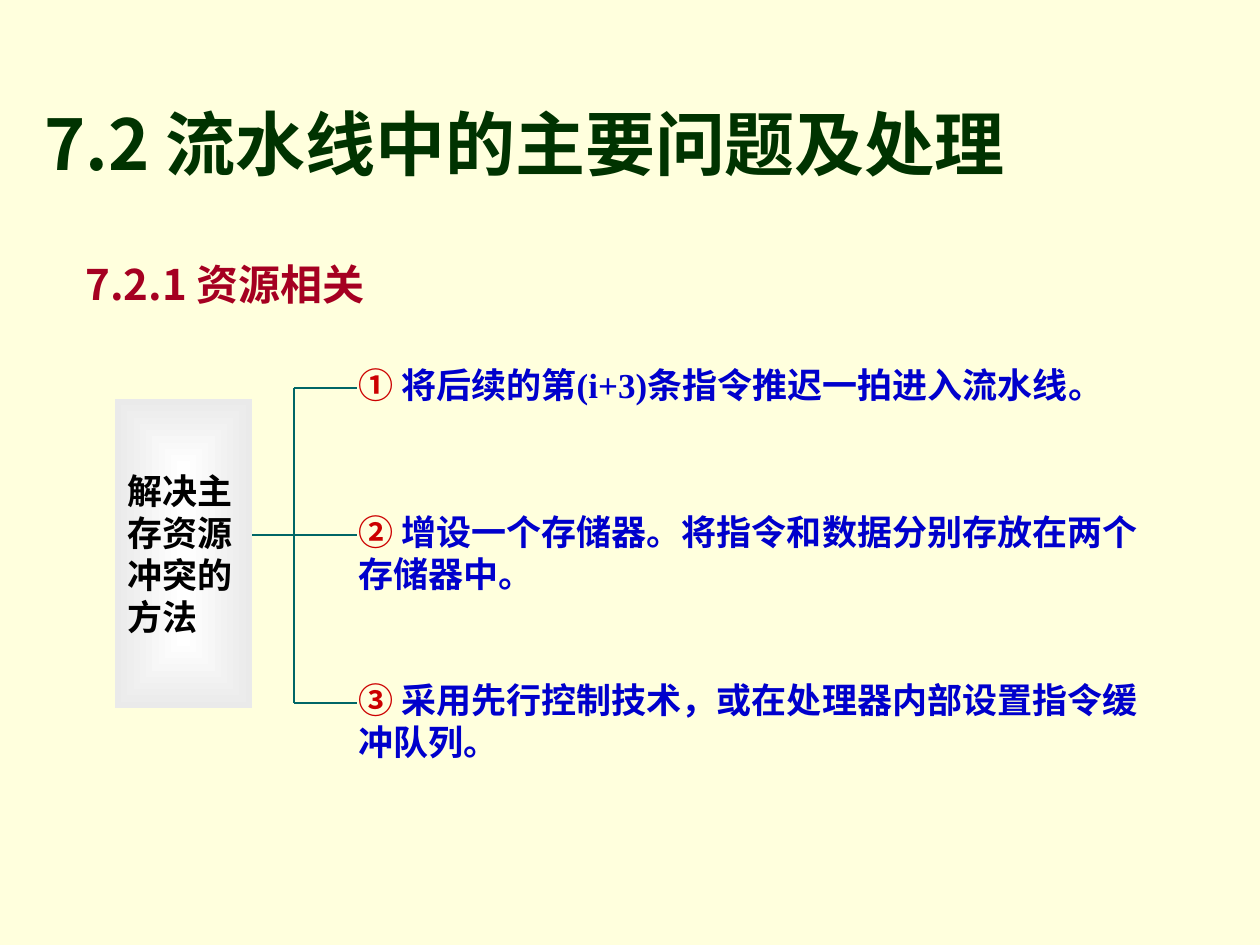
from lxml import etree
from pptx import Presentation
from pptx import util as u
from pptx.dml.color import RGBColor
from pptx.enum import shapes, text
from pptx.oxml import parse_xml
from pptx.oxml.ns import qn

CREAM = RGBColor(0xFF, 0xFF, 0xDD)
GREEN = RGBColor(0x00, 0x33, 0x00)
CRIMSON = RGBColor(0xA5, 0x00, 0x21)
RED = RGBColor(0xCC, 0x00, 0x00)
BLUE = RGBColor(0x00, 0x00, 0xCC)
TEAL = RGBColor(0x00, 0x66, 0x66)
BLACK = RGBColor(0x00, 0x00, 0x00)
WHITE = RGBColor(0xFF, 0xFF, 0xFF)
GRAY = RGBColor(0xEA, 0xEA, 0xEA)

CJK = "Noto Sans CJK SC"
LATIN = "Times New Roman"
DRAWING = "http://schemas.openxmlformats.org/drawingml/2006/main"

HEADINGS = [
    ("7.2 流水线中的主要问题及处理", (32, 94, 1166, 97), 40, GREEN),
    ("7.2.1 资源相关", (73, 252, 672, 63), 24, CRIMSON),
]
TOPIC = "解决主存资源冲突的方法"
TOPIC_BOX = (115, 399, 137, 309)
TOPIC_TOP_MARGIN = 70
METHODS = [
    (357, 55, [("① ", RED, CJK), ("将后续的第", BLUE, CJK), ("(i+3)", BLUE, LATIN),
               ("条指令推迟一拍进入流水线。", BLUE, CJK)]),
    (504, 97, [("② ", RED, CJK),
               ("增设一个存储器。将指令和数据分别存放在两个存储器中。", BLUE, CJK)]),
    (672, 97, [("③ ", RED, CJK),
               ("采用先行控制技术，或在处理器内部设置指令缓冲队列。", BLUE, CJK)]),
]
METHOD_LEFT, METHOD_WIDTH = 346, 809
TRUNK_X, BRANCH_END, BRANCH_DROP = 294, 357, 31


def px(value):
    return u.Emu(round(value * 914400 / 126))


def write(shape, parts, size):
    frame = shape.text_frame
    frame.word_wrap = True
    frame.vertical_anchor = text.MSO_ANCHOR.TOP
    paragraph = frame.paragraphs[0]
    paragraph.alignment = text.PP_ALIGN.LEFT
    for words, color, font in parts:
        run = paragraph.add_run()
        run.text = words
        run.font.size = u.Pt(size)
        run.font.bold = True
        run.font.color.rgb = color
        run.font.name = font
        etree.SubElement(run.font._element, qn("a:ea"), typeface=font)


def add_text(slide, box, parts, size):
    write(slide.shapes.add_textbox(*map(px, box)), parts, size)


def add_line(slide, *ends):
    line = slide.shapes.add_connector(shapes.MSO_CONNECTOR.STRAIGHT, *map(px, ends))
    line.line.color.rgb = TEAL
    line.line.width = u.Pt(0.75)
    etree.SubElement(line._element.spPr, qn("a:effectLst"))


def add_topic(slide):
    shape = slide.shapes.add_shape(shapes.MSO_SHAPE.RECTANGLE, *map(px, TOPIC_BOX))
    shape.shadow.inherit = False
    shape.line.fill.background()
    shape.fill.gradient()
    for stop, color, position in zip(shape.fill.gradient_stops, (WHITE, GRAY), (0, 1)):
        stop.color.rgb = color
        stop.position = position
    linear = shape._element.spPr.find(".//" + qn("a:lin"))
    linear.getparent().replace(linear, parse_xml(
        f'<a:path xmlns:a="{DRAWING}" path="rect">'
        '<a:fillToRect l="50000" t="50000" r="50000" b="50000"/></a:path>'))
    write(shape, [(TOPIC, BLACK, CJK)], 20)
    shape.text_frame.margin_top = px(TOPIC_TOP_MARGIN)


def main():
    presentation = Presentation()
    presentation.slide_width, presentation.slide_height = px(1260), px(945)
    slide = presentation.slides.add_slide(presentation.slide_layouts[6])
    slide.background.fill.solid()
    slide.background.fill.fore_color.rgb = CREAM

    for words, box, size, color in HEADINGS:
        add_text(slide, box, [(words, color, CJK)], size)

    add_topic(slide)
    for top, height, parts in METHODS:
        add_text(slide, (METHOD_LEFT, top, METHOD_WIDTH, height), parts, 20)

    branches = [top + BRANCH_DROP for top, _, _ in METHODS]
    topic_right = TOPIC_BOX[0] + TOPIC_BOX[2]
    add_line(slide, TRUNK_X, branches[0], TRUNK_X, branches[-1])
    for y, start in zip(branches, (TRUNK_X, topic_right, TRUNK_X)):
        add_line(slide, start, y, BRANCH_END, y)

    presentation.save("out.pptx")


if __name__ == "__main__":
    main()
